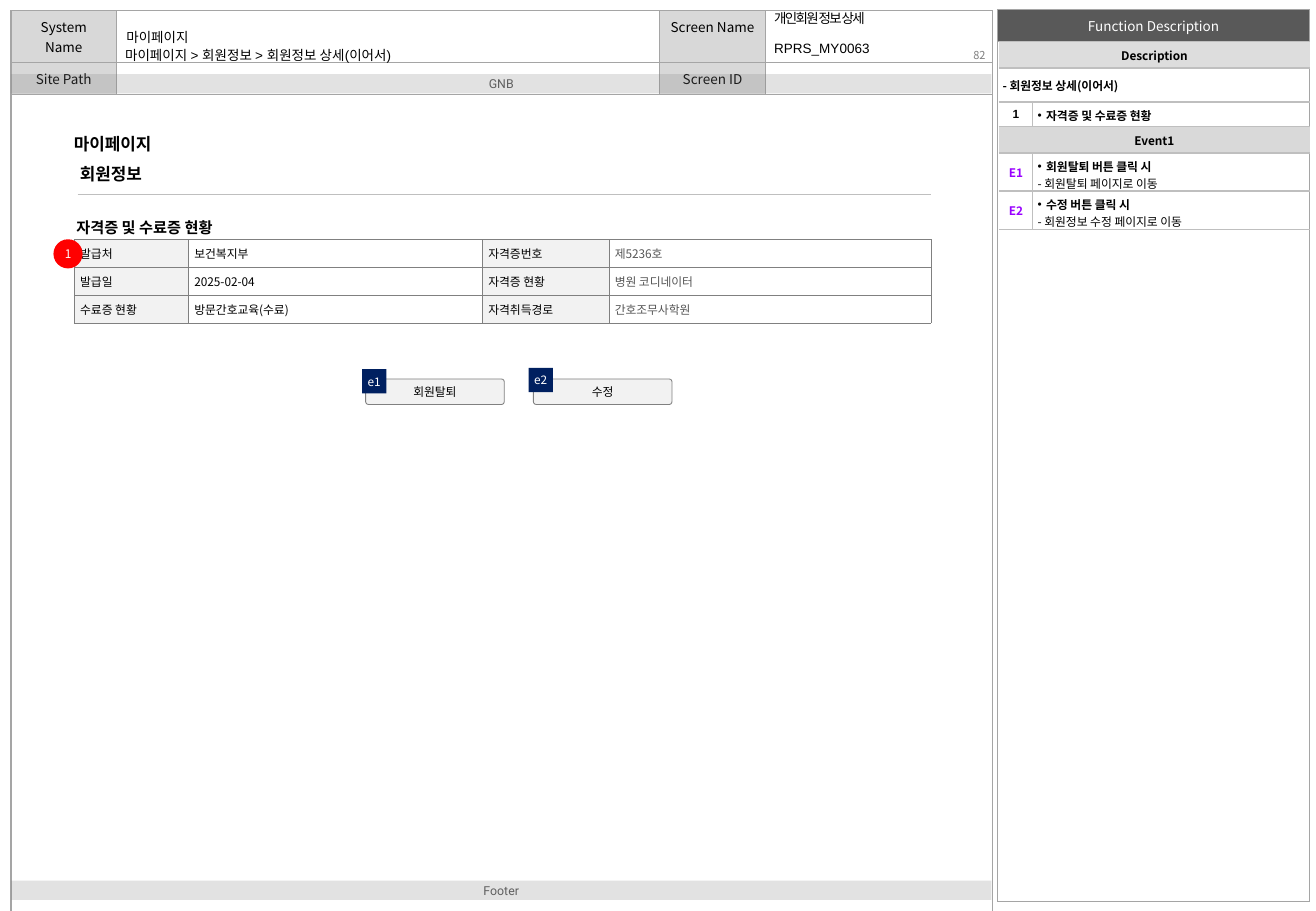
from dataclasses import dataclass
from lxml.etree import SubElement
from pptx import Presentation
from pptx.dml.color import RGBColor
from pptx.enum.shapes import MSO_CONNECTOR, MSO_SHAPE
from pptx.enum.text import MSO_ANCHOR, PP_ALIGN
from pptx.oxml.ns import qn
from pptx.util import Inches, Pt


@dataclass(frozen=True)
class Theme:
    font: str = "Noto Sans CJK KR"
    latin: str = "Arial"
    bar_font: str = "Roboto"
    black: str = "000000"
    white: str = "FFFFFF"
    value: str = "565656"
    bar_text: str = "5F5F5F"
    gray: str = "7F7F7F"
    dark: str = "595959"
    frame_line: str = "A5A5A5"
    soft_line: str = "BFBFBF"
    form_line: str = "808080"
    label: str = "D8D8D8"
    section: str = "DDDDDD"
    event: str = "D9D9D9"
    form_label: str = "F2F2F2"
    navy: str = "002060"
    red: str = "FF0000"
    purple: str = "9900FF"
    page: float = 6.5
    small: float = 7
    bar: float = 7.3
    normal: float = 8
    heading: float = 9
    title: float = 10


theme = Theme()


def write(holder, lines, size=theme.small, color=theme.black, font=theme.font, bold=False,
          align=PP_ALIGN.LEFT, anchor=MSO_ANCHOR.MIDDLE, insets=(0, 0, 0, 0),
          spacing=None, tracking=None, bullet=False):
    """Fill a shape or table cell with text; bullet applies to the first line."""
    frame = holder.text_frame
    box = holder if hasattr(holder, "is_merge_origin") else frame
    for side, inset in zip(("left", "top", "right", "bottom"), insets):
        setattr(box, f"margin_{side}", Inches(inset))
    box.vertical_anchor = anchor
    frame.word_wrap = True
    for index, text in enumerate(lines.split("\n")):
        paragraph = frame.paragraphs[0] if index == 0 else frame.add_paragraph()
        paragraph.alignment = align
        if spacing:
            paragraph.line_spacing = spacing
        if not text:
            SubElement(paragraph._p, qn("a:endParaRPr"), sz=str(int(size * 100)))
            continue
        if bullet and index == 0:
            properties = paragraph._p.get_or_add_pPr()
            properties.set("marL", str(Inches(0.07)))
            properties.set("indent", str(-Inches(0.07)))
            SubElement(properties, qn("a:buFont"), typeface=theme.latin)
            SubElement(properties, qn("a:buChar"), char="•")
        run = paragraph.add_run()
        run.text = text
        formats = {"size": Pt(size), "bold": bold and not (bullet and index), "name": font}
        for name, value in formats.items():
            setattr(run.font, name, value)
        run.font.color.rgb = RGBColor.from_string(color)
        run_properties = run._r.get_or_add_rPr()
        SubElement(run_properties, qn("a:ea"), typeface=theme.font)
        if tracking:
            run_properties.set("spc", str(tracking))


def add_grid(position, columns, rows, cells, line, width=0.75, merged=()):
    """Add a table; each cell is (text, fill, border sides, text format)."""
    left, top = position
    graphic = slide.shapes.add_table(len(rows), len(columns), Inches(left), Inches(top),
                                     Inches(sum(columns)), Inches(sum(rows)))
    table = graphic.table
    table.first_row = table.horz_banding = False
    table._tbl.tblPr.find(qn("a:tableStyleId")).text = "{2D5ABB26-0587-4C30-8999-92F81FD0307C}"
    for column, size in zip(table.columns, columns):
        column.width = Inches(size)
    for row, size in zip(table.rows, rows):
        row.height = Inches(size)
    for row in merged:
        table.cell(row, 0).merge(table.cell(row, len(columns) - 1))
    for row, contents in enumerate(cells):
        for column, (text, fill, sides, style) in enumerate(contents):
            cell = table.cell(row, column)
            write(cell, text, **style)
            if fill:
                cell.fill.solid()
                cell.fill.fore_color.rgb = RGBColor.from_string(fill)
            properties = cell._tc.get_or_add_tcPr()
            for index, side in enumerate(sides):
                border = SubElement(properties, qn(f"a:ln{side}"), w=str(Pt(width)))
                SubElement(SubElement(border, qn("a:solidFill")), qn("a:srgbClr"), val=line)
                properties.insert(index, border)


presentation = Presentation()
presentation.slide_width, presentation.slide_height = Inches(10.83), Inches(7.5)
slide = presentation.slides.add_slide(presentation.slide_layouts[6])

# Page frame: description panel and screen header
ALL = "LRTB"
head = dict(size=theme.normal, insets=(0.08, 0.05, 0.08, 0.05))
head_center = head | dict(align=PP_ALIGN.CENTER)
head_top = head_center | dict(anchor=MSO_ANCHOR.TOP)
blank = ("", None, ALL, head)
add_grid((8.21, 0.08), [2.57], [0.26, 7.08],
         [[("Function Description", theme.dark, ALL, head_top | dict(color=theme.white))], [blank]],
         theme.frame_line)
add_grid((0.09, 0.09), [0.87, 4.47, 0.87, 1.87], [0.24, 0.24, 6.83], [
    [("System Name", theme.label, ALL, head_center), ("마이페이지", None, ALL, head),
     ("Screen Name", theme.label, ALL, head_top), blank],
    [("Site Path", theme.label, ALL, head_center), blank,
     ("Screen ID", theme.label, ALL, head_top), blank],
    [blank] * 4], theme.frame_line, merged=[2])

# Translucent navigation and footer bars
for text, top in (("GNB", 0.61), ("Footer", 7.25)):
    bar = slide.shapes.add_shape(MSO_SHAPE.RECTANGLE, Inches(0.09), Inches(top), Inches(8.07), Inches(0.16))
    bar.shadow.inherit = False
    bar.fill.solid()
    bar.fill.fore_color.rgb = RGBColor.from_string(theme.gray)
    SubElement(bar.fill._xPr.find(qn("a:solidFill"))[0], qn("a:alpha"), val="22000")
    bar.line.fill.background()
    write(bar, text, theme.bar, theme.bar_text, theme.bar_font, align=PP_ALIGN.CENTER,
          insets=(0.08, 0.04, 0.08, 0.04))

# Header values and page headings
field = dict(size=theme.normal, insets=(0.08, 0.04, 0.08, 0.16), spacing=0.9)
heading = dict(size=theme.title, bold=True, anchor=MSO_ANCHOR.TOP, insets=(0.1, 0.05, 0.1, 0.05))
for text, left, top, width, height, style in (
    ("82", 7.93, 0.34, 0.34, 0.23, dict(size=theme.page, color=theme.gray, insets=(0.08, 0.04, 0.08, 0.04))),
    ("마이페이지 > 회원정보 > 회원정보 상세(이어서)", 0.95, 0.35, 4.46, 0.22,
     field | dict(font=theme.latin, insets=(0.08, 0.04, 0.08, 0.04))),
    ("RPRS_MY0063", 6.29, 0.34, 1.88, 0.24, field | dict(font=theme.latin)),
    ("개인회원 정보 상세", 6.29, 0.1, 1.88, 0.23, field | dict(tracking=-100)),
    ("마이페이지", 0.51, 0.97, 1.6, 0.32, heading | dict(spacing=1.5)),
    ("회원정보", 0.56, 1.3, 1.09, 0.27, heading),
    ("자격증 및 수료증 현황", 0.53, 1.67, 1.6, 0.3, heading | dict(size=theme.heading, spacing=1.5)),
):
    write(slide.shapes.add_textbox(Inches(left), Inches(top), Inches(width), Inches(height)), text, **style)

divider = slide.shapes.add_connector(MSO_CONNECTOR.STRAIGHT, Inches(0.64), Inches(1.6), Inches(7.66), Inches(1.6))
divider.line.color.rgb = RGBColor.from_string(theme.soft_line)
divider.line.width = Pt(0.75)
SubElement(divider._element.spPr, qn("a:effectLst"))

# Description and event lists
padded = dict(insets=(0.05, 0.05, 0.05, 0.05))
section = padded | dict(bold=True, align=PP_ALIGN.CENTER)
code = dict(bold=True, align=PP_ALIGN.CENTER)
item = dict(bold=True, bullet=True, anchor=MSO_ANCHOR.TOP, insets=(0.04, 0.04, 0.04, 0.04))
covered = ("", None, "TB", {})
panel_columns = [0.28, 2.28]
add_grid((8.22, 0.34), panel_columns, [0.22, 0.28, 0.2], [
    [("Description", theme.section, "TB", section), covered],
    [("- 회원정보 상세(이어서)", None, "TB", dict(bold=True, insets=(0.03, 0, 0, 0))), covered],
    [("1", None, "RTB", code | dict(font=theme.latin)), ("자격증 및 수료증 현황", None, "LTB", item)],
], theme.soft_line, merged=[0, 1])
events = [("E1", "회원탈퇴 버튼 클릭 시\n- 회원탈퇴 페이지로 이동"),
          ("E2", "수정 버튼 클릭 시\n- 회원정보 수정 페이지로 이동")]
add_grid((8.22, 1.04), panel_columns, [0.22, 0.3, 0.3],
         [[("Event1", theme.event, "TB", section), covered]] +
         [[(name, None, "RTB", code | dict(color=theme.purple)), (text, None, "LTB", item)]
          for name, text in events], theme.soft_line, merged=[0])

# Certificate form
certificates = [("발급처", "보건복지부", "자격증번호", "제5236호"),
                ("발급일", "2025-02-04", "자격증 현황", "병원 코디네이터"),
                ("수료증 현황", "방문간호교육(수료)", "자격취득경로", "간호조무사학원")]
add_grid((0.61, 1.97), [0.94, 2.42, 1.04, 2.65], [0.23] * 3,
         [[(text, theme.white if column % 2 else theme.form_label, ALL,
            padded | dict(color=theme.value if column == 3 else theme.black))
           for column, text in enumerate(row)] for row in certificates], theme.form_line, 0.25)

# Buttons and markers
for kind, text, left, top, width, height, fill, line, color in (
    (MSO_SHAPE.ROUNDED_RECTANGLE, "회원탈퇴", 3.01, 3.12, 1.14, 0.21, theme.form_label, theme.form_line, theme.black),
    (MSO_SHAPE.RECTANGLE, "e1", 2.98, 3.04, 0.2, 0.2, theme.navy, None, theme.white),
    (MSO_SHAPE.ROUNDED_RECTANGLE, "수정", 4.39, 3.12, 1.14, 0.21, theme.form_label, theme.form_line, theme.black),
    (MSO_SHAPE.RECTANGLE, "e2", 4.35, 3.03, 0.2, 0.2, theme.navy, None, theme.white),
    (MSO_SHAPE.OVAL, "1", 0.44, 1.97, 0.24, 0.24, theme.red, None, theme.white),
):
    shape = slide.shapes.add_shape(kind, Inches(left), Inches(top), Inches(width), Inches(height))
    shape.shadow.inherit = False
    shape.fill.solid()
    shape.fill.fore_color.rgb = RGBColor.from_string(fill)
    if line:
        shape.adjustments[0] = 0.11
        shape.line.color.rgb = RGBColor.from_string(line)
        shape.line.width = Pt(0.5)
    else:
        shape.line.fill.background()
    write(shape, text, color=color, align=PP_ALIGN.CENTER)

presentation.save("out.pptx")
